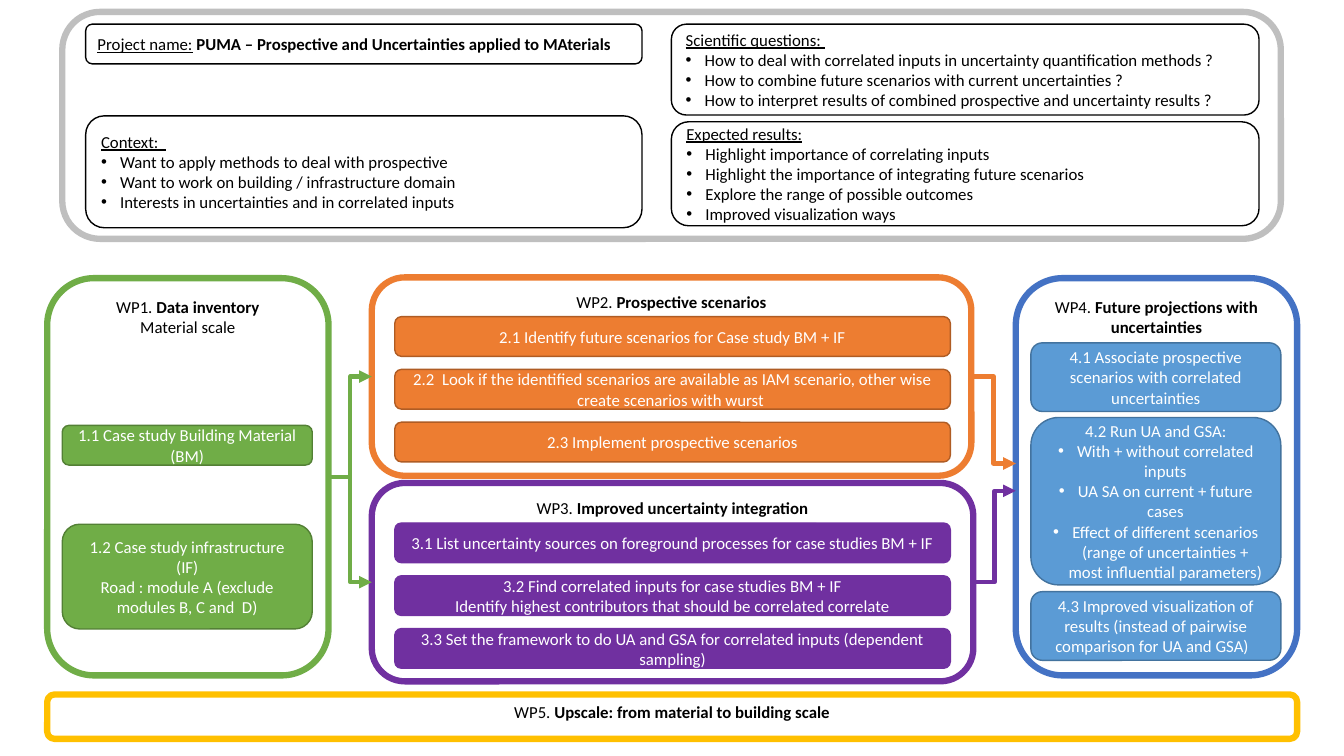
"""Build the one-slide project plan with its work packages and their links."""
from dataclasses import dataclass
from typing import NamedTuple, Optional

import lxml.etree
import pptx
import pptx.dml.color
import pptx.enum.shapes
import pptx.enum.text
import pptx.oxml.ns
import pptx.util

Cm = pptx.util.Cm
ALIGN = pptx.enum.text.PP_ALIGN
ANCHOR = pptx.enum.text.MSO_ANCHOR
LEFT_SITE, RIGHT_SITE = 1, 3


@dataclass(frozen=True)
class Theme:
    font: str = "Calibri"
    size: int = 12
    frame_line: float = 4.5
    box_line: float = 1
    arrow_line: float = 3
    black: str = "000000"
    white: str = "FFFFFF"
    grey: str = "BFBFBF"
    green: str = "70AD47"
    dark_green: str = "538035"
    orange: str = "ED7D31"
    dark_orange: str = "AF5C24"
    purple: str = "7030A0"
    blue: str = "4472C4"
    light_blue: str = "5B9BD5"
    dark_blue: str = "43739E"
    yellow: str = "FFC000"


THEME = Theme()


class Span(NamedTuple):
    text: str
    bold: bool = False
    underline: bool = False


class Line(NamedTuple):
    spans: tuple
    bullet: bool = False


class Place(NamedTuple):
    left: float
    top: float
    width: float
    height: float


class Look(NamedTuple):
    fill: Optional[str]
    line: str
    text: str
    width: float
    align: ALIGN = ALIGN.CENTER
    anchor: ANCHOR = ANCHOR.MIDDLE


@dataclass(frozen=True)
class Box:
    place: Place
    look: Look
    lines: tuple = ()


def frame_look(color: str) -> Look:
    """Return the look of a thick, unfilled frame."""
    return Look(None, color, THEME.black, THEME.frame_line, anchor=ANCHOR.TOP)


def task_look(fill: str, line: str) -> Look:
    """Return the look of a filled task."""
    return Look(fill, line, THEME.white, THEME.box_line)


CARD = Look(THEME.white, THEME.black, THEME.black, THEME.box_line, ALIGN.LEFT)
GREEN_TASK = task_look(THEME.green, THEME.dark_green)
ORANGE_TASK = task_look(THEME.orange, THEME.dark_orange)
PURPLE_TASK = task_look(THEME.purple, THEME.purple)
BLUE_TASK = task_look(THEME.light_blue, THEME.dark_blue)


def plain(*texts: str) -> tuple:
    """Return one unformatted line per text."""
    return tuple(Line((Span(text),)) for text in texts)


def bullets(*texts: str) -> tuple:
    """Return one bulleted line per text."""
    return tuple(Line((Span(text),), True) for text in texts)


def topic(heading: str, *texts: str) -> tuple:
    """Return an underlined heading followed by bullets."""
    return (Line((Span(heading, underline=True),)), *bullets(*texts))


def package(number: int, name: str) -> tuple:
    """Return the heading line of a work package."""
    return (Line((Span(f"WP{number}. "), Span(name, bold=True))),)


def task_column(left: float, top: float, look: Look, texts: list) -> list:
    """Return equal tasks stacked at a fixed step."""
    return [Box(Place(left, top + 1.33 * row, 14, 1), look, plain(*text.split("\n")))
            for row, text in enumerate(texts)]


FRAMES = {
    "WP1": Box(Place(1.19, 7.01, 7.09, 10.01), frame_look(THEME.green),
               package(1, "Data inventory") + plain("Material scale")),
    "WP2": Box(Place(9.37, 6.99, 15.11, 5), frame_look(THEME.orange),
               package(2, "Prospective scenarios")),
    "WP3": Box(Place(9.37, 12.17, 15.16, 5), frame_look(THEME.purple),
               package(3, "Improved uncertainty integration")),
    "WP4": Box(Place(25.6, 7.01, 7.09, 10.01), frame_look(THEME.blue),
               package(4, "Future projections with uncertainties")),
    "WP5": Box(Place(1.19, 17.5, 31.5, 1.12), frame_look(THEME.yellow),
               package(5, "Upscale: from material to building scale")),
}

TASKS = [
    Box(Place(1.57, 10.72, 6.3, 1), GREEN_TASK, plain("1.1 Case study Building Material (BM)")),
    Box(Place(1.57, 13.21, 6.3, 2.64), GREEN_TASK,
        plain("1.2 Case study infrastructure (IF)",
              "Road : module A (exclude modules B, C and  D)")),
    *task_column(9.95, 7.98, ORANGE_TASK, [
        "2.1 Identify future scenarios for Case study BM + IF",
        "2.2  Look if the identified scenarios are available as IAM scenario, "
        "other wise create scenarios with wurst ",
        "2.3 Implement prospective scenarios"]),
    *task_column(9.95, 13.18, PURPLE_TASK, [
        "3.1 List uncertainty sources on foreground processes for case studies BM + IF",
        "3.2 Find correlated inputs for case studies BM + IF\n"
        "Identify highest contributors that should be correlated correlate",
        "3.3 Set the framework to do UA and GSA for correlated inputs (dependent sampling)"]),
    Box(Place(25.98, 8.64, 6.3, 1.73), BLUE_TASK,
        plain("4.1 Associate prospective scenarios with correlated uncertainties")),
    Box(Place(25.98, 10.52, 6.3, 4.22), BLUE_TASK,
        plain("4.2 Run UA and GSA:") + bullets(
            "With + without correlated inputs", "UA SA on current + future cases",
            "Effect of different scenarios (range of uncertainties + most influential parameters)")),
    Box(Place(25.98, 14.91, 6.3, 1.73), BLUE_TASK,
        plain("4.3 Improved visualization of results "
              "(instead of pairwise comparison for UA and GSA)  ")),
]

SUMMARY = [
    Box(Place(2.16, 2.92, 14.02, 2.82), CARD, topic(
        "Context:  ", "Want to apply methods to deal with prospective",
        "Want to work on building / infrastructure domain",
        "Interests in uncertainties and in correlated inputs")),
    Box(Place(16.92, 0.61, 14.81, 2.29), CARD, topic(
        "Scientific questions: ",
        "How to deal with correlated inputs in uncertainty quantification methods ?",
        "How to combine future scenarios with current uncertainties ?",
        "How to interpret results of combined prospective and uncertainty results ?")),
    Box(Place(16.92, 3.07, 14.81, 2.62), CARD, topic(
        "Expected results:", "Highlight importance of correlating inputs",
        "Highlight the importance of integrating future scenarios",
        "Explore the range of possible outcomes ", "Improved visualization ways")),
    Box(Place(2.16, 0.61, 14.02, 1), CARD, (Line((
        Span("Project name:", underline=True), Span(" "),
        Span("PUMA – Prospective and Uncertainties applied to MAterials", bold=True))),)),
    Box(Place(1.57, 0.3, 30.71, 5.72), frame_look(THEME.grey)),
]


def rgb(color: str) -> pptx.dml.color.RGBColor:
    """Turn a hex string into a colour."""
    return pptx.dml.color.RGBColor.from_string(color)


def apply(target, values: dict) -> None:
    """Set each attribute named in the values."""
    for name, value in values.items():
        setattr(target, name, value)


def add_child(parent, tag: str, **attributes: str) -> None:
    """Append a DrawingML element."""
    lxml.etree.SubElement(parent, pptx.oxml.ns.qn(tag), attributes)


def write_line(para, line: Line, look: Look) -> None:
    """Write one line of spans into a paragraph."""
    para.alignment = look.align
    if line.bullet:
        properties = para._p.get_or_add_pPr()
        properties.set("marL", str(Cm(0.48)))
        properties.set("indent", str(-Cm(0.48)))
        add_child(properties, "a:buFont", typeface="Arial")
        add_child(properties, "a:buChar", char="•")
    for span in line.spans:
        run = para.add_run()
        run.text = span.text
        apply(run.font, {"name": THEME.font, "size": pptx.util.Pt(THEME.size),
                         "bold": span.bold, "underline": span.underline})
        run.font.color.rgb = rgb(look.text)


def draw_box(slide, box: Box):
    """Draw a rounded box with its text and return it."""
    look = box.look
    shape = slide.shapes.add_shape(pptx.enum.shapes.MSO_SHAPE.ROUNDED_RECTANGLE,
                                   *(Cm(length) for length in box.place))
    shape.shadow.inherit = False
    if look.fill:
        shape.fill.solid()
        shape.fill.fore_color.rgb = rgb(look.fill)
    else:
        shape.fill.background()
    shape.line.color.rgb = rgb(look.line)
    shape.line.width = pptx.util.Pt(look.width)
    apply(shape.text_frame, {"word_wrap": True, "vertical_anchor": look.anchor})
    for index, line in enumerate(box.lines):
        frame = shape.text_frame
        write_line(frame.add_paragraph() if index else frame.paragraphs[0], line, look)
    return shape


def draw_arrow(slide, start, end_left: float, end_top: float, color: str):
    """Draw an elbow arrow from a frame's right side and return it."""
    arrow = slide.shapes.add_connector(
        pptx.enum.shapes.MSO_CONNECTOR.ELBOW, start.left + start.width,
        start.top + start.height // 2, Cm(end_left), Cm(end_top))
    arrow.begin_connect(start, RIGHT_SITE)
    arrow.line.color.rgb = rgb(color)
    arrow.line.width = pptx.util.Pt(THEME.arrow_line)
    add_child(arrow.line._get_or_add_ln(), "a:tailEnd", type="triangle")
    add_child(arrow._element.spPr, "a:effectLst")
    return arrow


deck = pptx.Presentation()
apply(deck, {"slide_width": Cm(33.87), "slide_height": Cm(19.05)})
slide = deck.slides.add_slide(deck.slide_layouts[6])
frames = {name: draw_box(slide, box) for name, box in FRAMES.items()}
for box in TASKS:
    draw_box(slide, box)
for name in ("WP2", "WP3"):
    place = FRAMES[name].place
    arrow = draw_arrow(slide, frames["WP1"], place.left, place.top + place.height / 2, THEME.green)
    arrow.end_connect(frames[name], LEFT_SITE)
for name, end_top, color in (("WP2", 11.68, THEME.orange), ("WP3", 12.37, THEME.purple)):
    draw_arrow(slide, frames[name], FRAMES["WP4"].place.left, end_top, color)
for box in SUMMARY:
    draw_box(slide, box)
deck.save("out.pptx")
